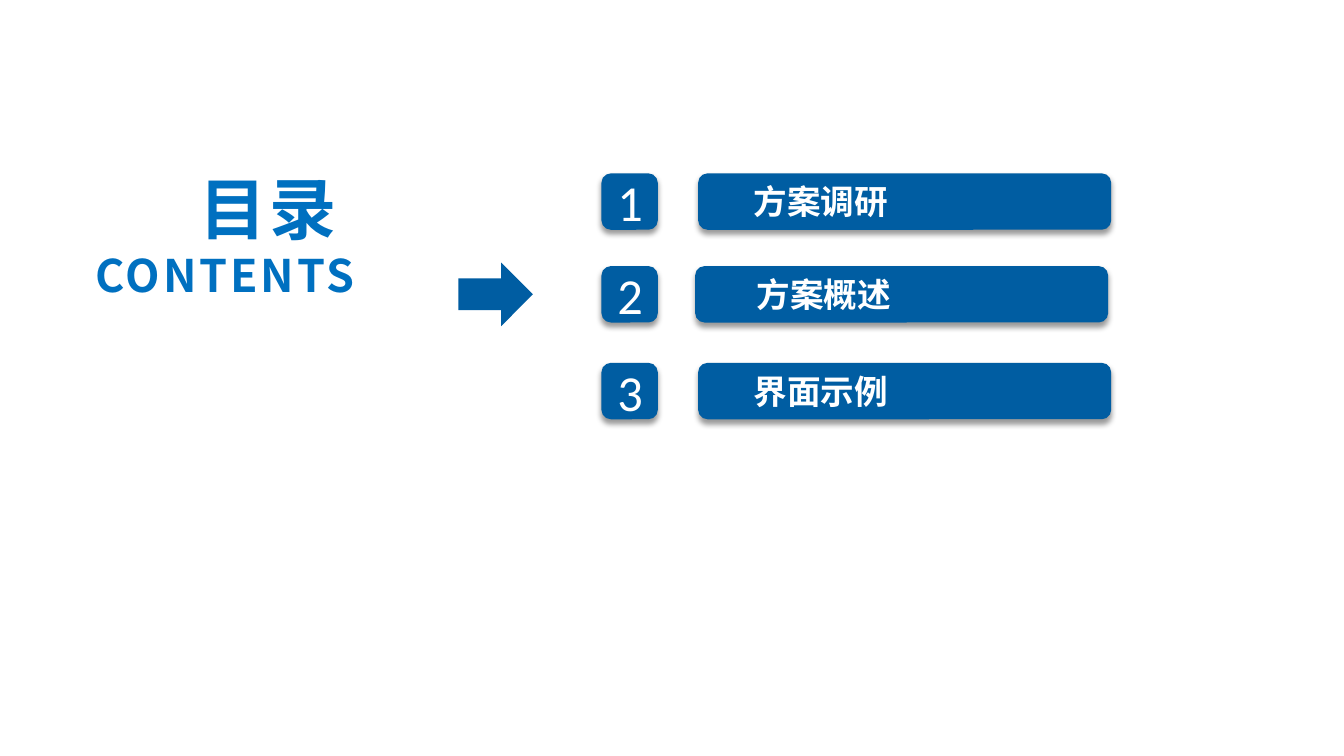
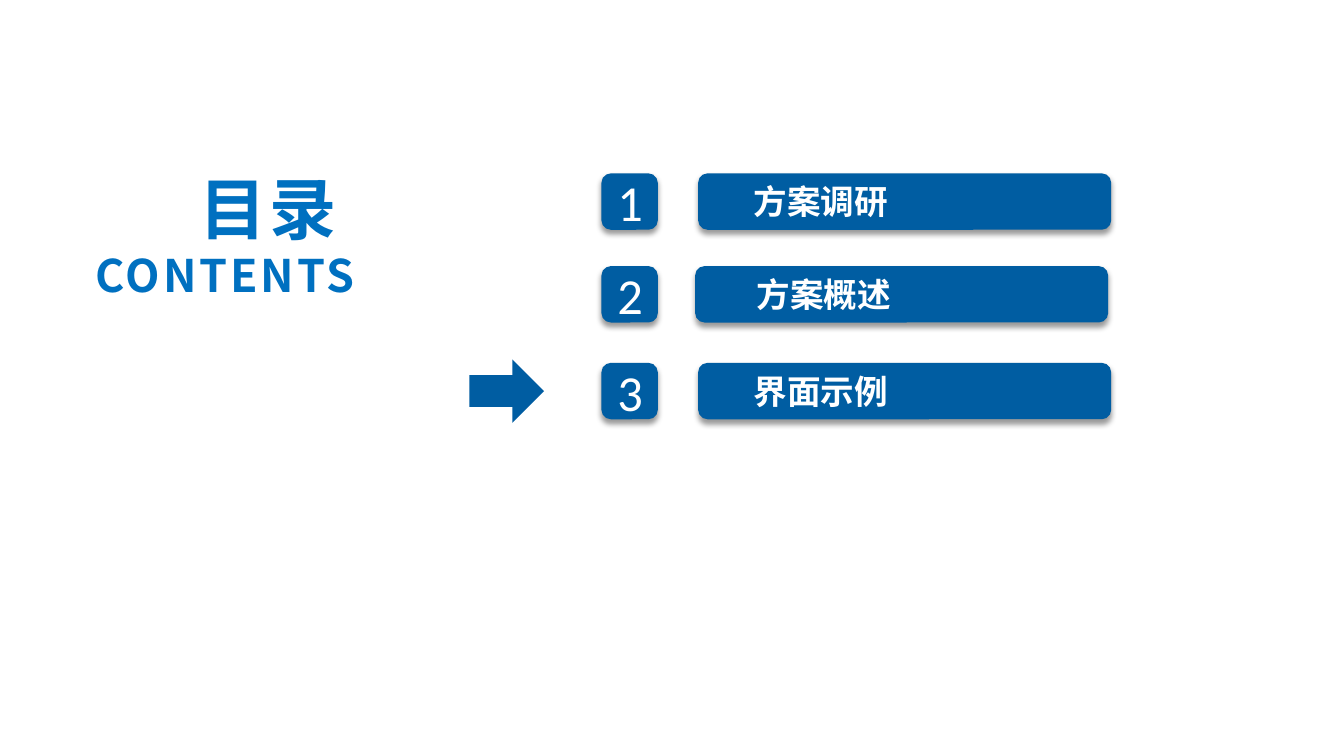
from lxml import etree
from pptx import Presentation
from pptx.dml.color import RGBColor
from pptx.enum import shapes, text
from pptx.oxml import ns
from pptx.util import Inches, Pt

COLORS = {"block": "005DA2", "title": "0070C0", "light": "FFFFFF", "shadow": "000000"}
LATIN, CHINESE = "Calibri", "Noto Sans CJK SC"

TITLE = [("目录 ", 48), ("CONTENTS", 32)]
CHAPTERS = [
    {"name": "方案调研", "top": 1.72, "bar": 6.93, "label": (7.35, 1.72, 2.9)},
    {"name": "方案概述", "top": 2.64, "bar": 6.9, "label": (7.38, 2.65, 2.9)},
    {"name": "界面示例", "top": 3.6, "bar": 6.93, "label": (7.35, 3.61, 3.26)},
]
SLIDES = [{"chapter": 1, "arrow_left": 4.55}, {"chapter": 2, "arrow_left": 4.66}]

NUMBER_LEFT, BLOCK_HEIGHT, BAR_WIDTH, LABEL_HEIGHT = 5.97, 0.56, 4.1, 0.54
ARROW_WIDTH, ARROW_HEIGHT = 0.74, 0.63


def add_block(parent, preset, left, top, width, height, shadow=True):
    block = parent.add_shape(preset, *map(Inches, (left, top, width, height)))
    block.fill.solid()
    block.fill.fore_color.rgb = RGBColor.from_string(COLORS["block"])
    block.line.fill.background()
    block.shadow.inherit = False
    if shadow:
        effects = block._element.spPr.find(ns.qn("a:effectLst"))
        outer = etree.SubElement(effects, ns.qn("a:outerShdw"), blurRad=str(Pt(4)),
                                 dist=str(Pt(3)), dir="5400000", rotWithShape="0")
        color = etree.SubElement(outer, ns.qn("a:srgbClr"), val=COLORS["shadow"])
        etree.SubElement(color, ns.qn("a:alpha"), val="40000")
    return block


def set_frame(frame):
    frame.word_wrap = True
    frame.margin_left = frame.margin_right = Inches(0.13)
    frame.margin_top = frame.margin_bottom = Inches(0.07)


def add_run(para, words, size, color, font, bold=False, spacing=0):
    span = para.add_run()
    span.text = words
    span.font.size = Pt(size)
    span.font.bold = bold
    span.font.color.rgb = RGBColor.from_string(COLORS[color])
    span.font.name = font
    properties = span.font._element
    etree.SubElement(properties, ns.qn("a:ea"), typeface=font)
    if spacing:
        properties.set("spc", str(spacing * 100))


def add_text_box(parent, left, top, width, height):
    box = parent.add_textbox(*map(Inches, (left, top, width, height)))
    set_frame(box.text_frame)
    return box.text_frame


def add_chapter(page, number, chapter):
    rounded = shapes.MSO_SHAPE.ROUNDED_RECTANGLE
    badge = add_block(page.shapes, rounded, NUMBER_LEFT, chapter["top"],
                      BLOCK_HEIGHT, BLOCK_HEIGHT)
    set_frame(badge.text_frame)
    badge.text_frame.vertical_anchor = text.MSO_ANCHOR.MIDDLE
    para = badge.text_frame.paragraphs[0]
    para.alignment = text.PP_ALIGN.CENTER
    add_run(para, str(number), 36, "light", LATIN)

    group = page.shapes.add_group_shape()
    add_block(group.shapes, rounded, chapter["bar"], chapter["top"], BAR_WIDTH, BLOCK_HEIGHT)
    frame = add_text_box(group.shapes, *chapter["label"], LABEL_HEIGHT)
    add_run(frame.paragraphs[0], chapter["name"], 24, "light", CHINESE, bold=True)


def add_title(page):
    frame = add_text_box(page.shapes, 0.58, 1.59, 3.07, 1.48)
    for index, (words, size) in enumerate(TITLE):
        para = frame.add_paragraph() if index else frame.paragraphs[0]
        para.alignment = text.PP_ALIGN.RIGHT
        add_run(para, words, size, "title", CHINESE, bold=True, spacing=2)


def add_contents(deck, current):
    page = deck.slides.add_slide(deck.slide_layouts[6])
    for number, chapter in enumerate(CHAPTERS, 1):
        add_chapter(page, number, chapter)
    add_title(page)
    middle = CHAPTERS[current["chapter"]]["top"] + BLOCK_HEIGHT / 2
    add_block(page.shapes, shapes.MSO_SHAPE.RIGHT_ARROW, current["arrow_left"],
              middle - ARROW_HEIGHT / 2, ARROW_WIDTH, ARROW_HEIGHT, shadow=False)


def main():
    deck = Presentation()
    deck.slide_width, deck.slide_height = Inches(13.34), Inches(7.5)
    for current in SLIDES:
        add_contents(deck, current)
    deck.save("out.pptx")


if __name__ == "__main__":
    main()
